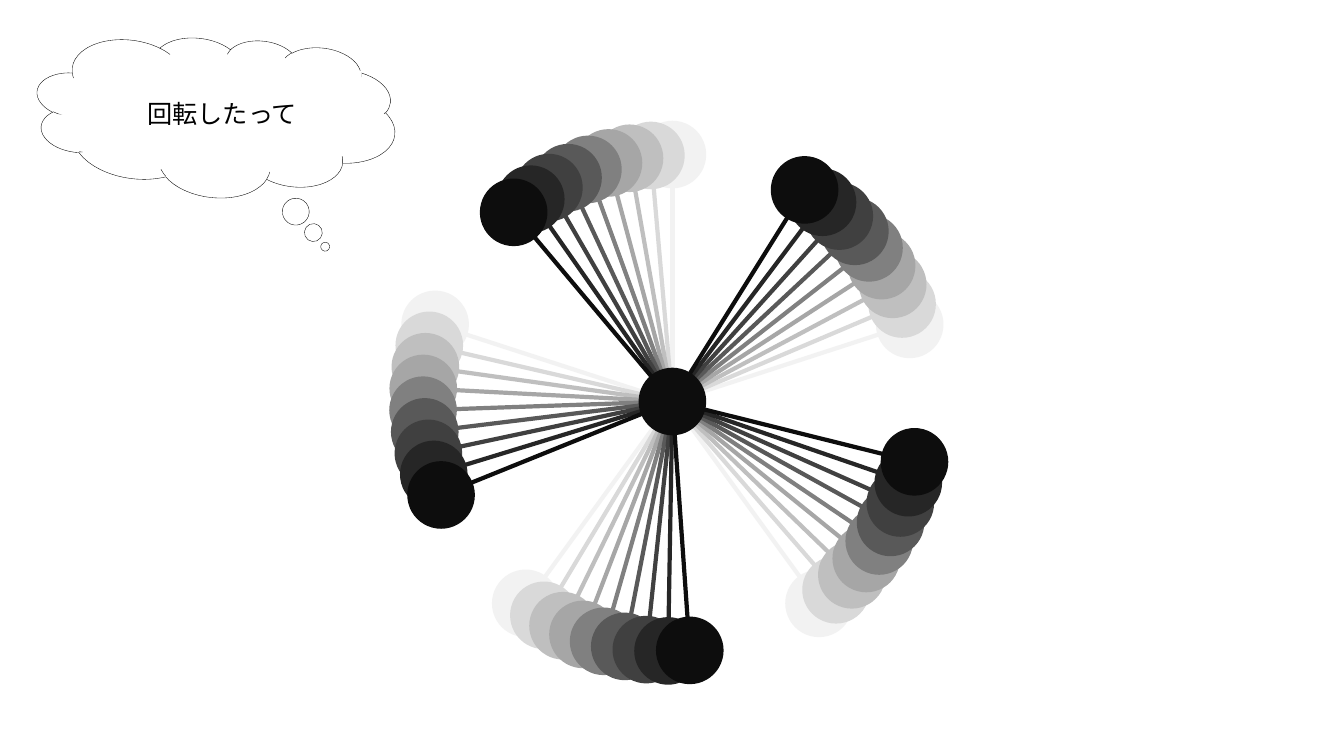
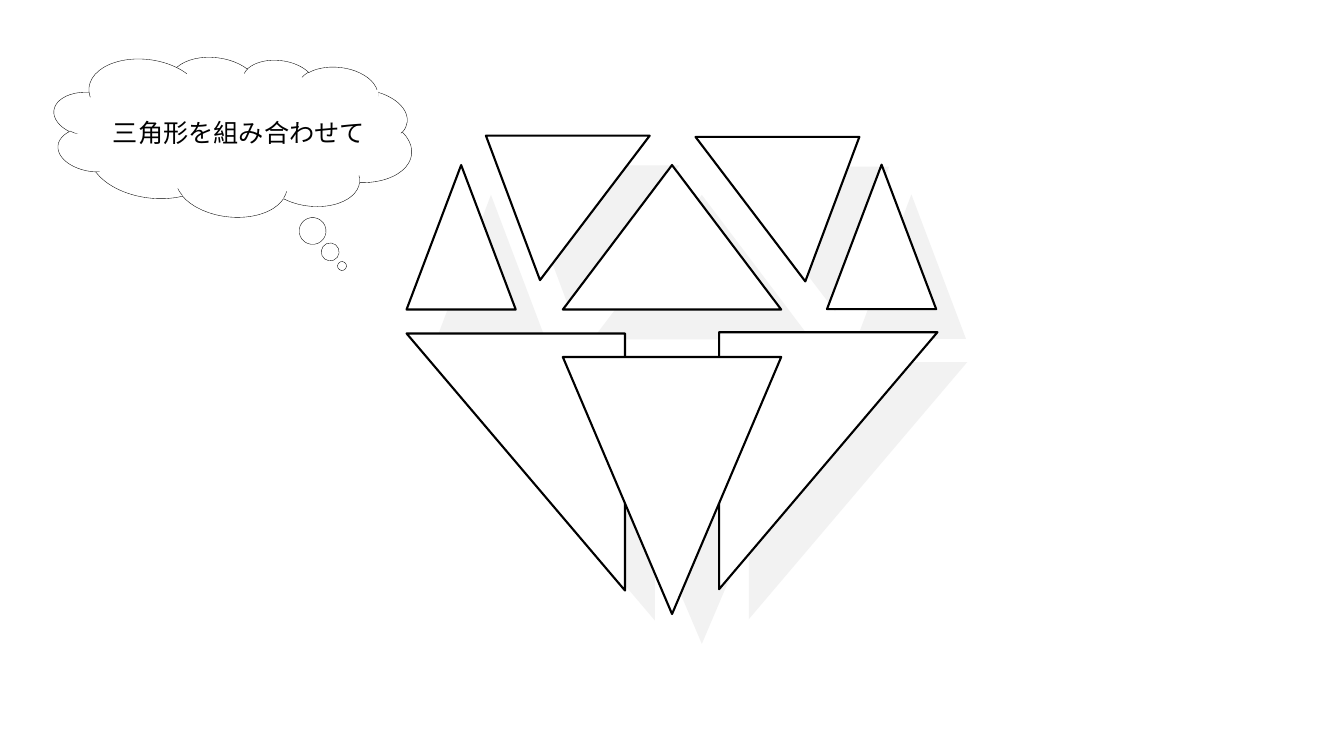
from math import cos, radians, sin

from lxml.etree import SubElement
from pptx import Presentation
from pptx.dml.color import RGBColor
from pptx.enum.shapes import MSO_CONNECTOR, MSO_SHAPE
from pptx.enum.text import MSO_ANCHOR, PP_ALIGN
from pptx.oxml.ns import qn
from pptx.util import Inches, Pt

COLOURS = {"paper": "FFFFFF", "ink": "000000", "shade": "F2F2F2"}
FADE = ["F2F2F2", "D9D9D9", "BFBFBF", "A6A6A6", "808080", "595959", "404040", "262626", "0D0D0D"]
FONT = "Noto Sans CJK JP"

deck = Presentation()
deck.slide_width, deck.slide_height = Inches(13.333), Inches(7.5)
CELL = deck.slide_height / 90


def grid(*cells):
    return [round(cell * CELL) for cell in cells]


def add_box(page, kind, place, fill, line=None, weight=1, turn=0, bends=()):
    box = page.shapes.add_shape(kind, *grid(*place))
    box.shadow.inherit = False
    box.rotation = turn
    for index, bend in enumerate(bends):
        box.adjustments[index] = bend
    box.fill.solid()
    box.fill.fore_color.rgb = RGBColor.from_string(fill)
    if line:
        box.line.color.rgb = RGBColor.from_string(line)
        box.line.width = Pt(weight)
    else:
        box.line.fill.background()
    return box


pages = [deck.slides.add_slide(deck.slide_layouts[6]) for _ in range(2)]
wheel_page, gem_page = pages

HUB = (80.05, 47.8)
SPOKES = [29.4, 29.7, 29.7, 29.7, 29.7]
DISC, STEP = 7.55, 5
for layer, grey in enumerate(FADE):
    tips = []
    for arm, reach in enumerate(SPOKES):
        angle = radians(-90 - layer * STEP + arm * 360 / len(SPOKES))
        tips.append((HUB[0] + reach * cos(angle), HUB[1] + reach * sin(angle)))
    for tip in tips:
        spoke = wheel_page.shapes.add_connector(MSO_CONNECTOR.STRAIGHT, *grid(*HUB, *tip))
        spoke.line.color.rgb = RGBColor.from_string(grey)
        spoke.line.width = Pt(3)
        SubElement(spoke._element.spPr, qn("a:effectLst"))
    centres = [HUB, *tips] if grey == FADE[-1] else tips
    for x, y in centres:
        place = (x - DISC / 2, y - DISC / 2, DISC, DISC)
        add_box(wheel_page, MSO_SHAPE.OVAL, place, grey, grey, 3)

CROWN, PAVILION = 17.2, 30.6
FACETS = [
    (67, 19.65, 26, CROWN, 0, 0.5),
    (48.4, 39.7, 26, PAVILION, 180, 0),
    (85.6, 39.55, 26, PAVILION, 180, 1),
    (67, 42.5, 26, PAVILION, 180, 0.5),
    (48.4, 19.65, 13, CROWN, 0, 0.5),
    (98.45, 19.6, 13, CROWN, 0, 0.5),
    (57.85, 16.15, 19.5, CROWN, 180, 0.67),
    (82.8, 16.3, 19.5, CROWN, 180, 0.33),
]
GEM_LAYERS = [
    (3.55, {"fill": COLOURS["shade"]}),
    (0, {"fill": COLOURS["paper"], "line": COLOURS["ink"], "weight": 1.5}),
]
for offset, style in GEM_LAYERS:
    for x, y, width, height, turn, apex in FACETS:
        place = (x + offset, y + offset, width, height)
        add_box(gem_page, MSO_SHAPE.ISOSCELES_TRIANGLE, place, turn=turn, bends=[apex], **style)

PATCHES = [
    (33.1, 11.65, 4.3, 1.8, 62.5),
    (2.5, 9.35, 2.5, 1.45, 0),
    (39, 8.95, 2.5, 1.45, 337.6),
    (5.6, 4.2, 33.2, 10.1, 0),
]
THOUGHTS = [
    (wheel_page, 4.25, 4.25, "回転したって"),
    (gem_page, 6.25, 6.55, "三角形を組み合わせて"),
]
for page, left, top, words in THOUGHTS:
    add_box(page, MSO_SHAPE.CLOUD_CALLOUT, (left, top, 42.85, 19.2), COLOURS["paper"],
            COLOURS["ink"], 0.25, turn=6.6, bends=[0.344, 0.725])
    for x, y, width, height, turn in PATCHES:
        box = add_box(page, MSO_SHAPE.RECTANGLE, (left + x, top + y, width, height),
                      COLOURS["paper"], turn=turn)
    box.text_frame.word_wrap = True
    box.text_frame.vertical_anchor = MSO_ANCHOR.MIDDLE
    para = box.text_frame.paragraphs[0]
    para.alignment = PP_ALIGN.CENTER
    span = para.add_run()
    span.text = words
    for name, value in {"size": Pt(18), "name": FONT}.items():
        setattr(span.font, name, value)
    span.font.color.rgb = RGBColor.from_string(COLOURS["ink"])
    SubElement(span.font._element, qn("a:ea"), typeface=FONT)

deck.save("out.pptx")
